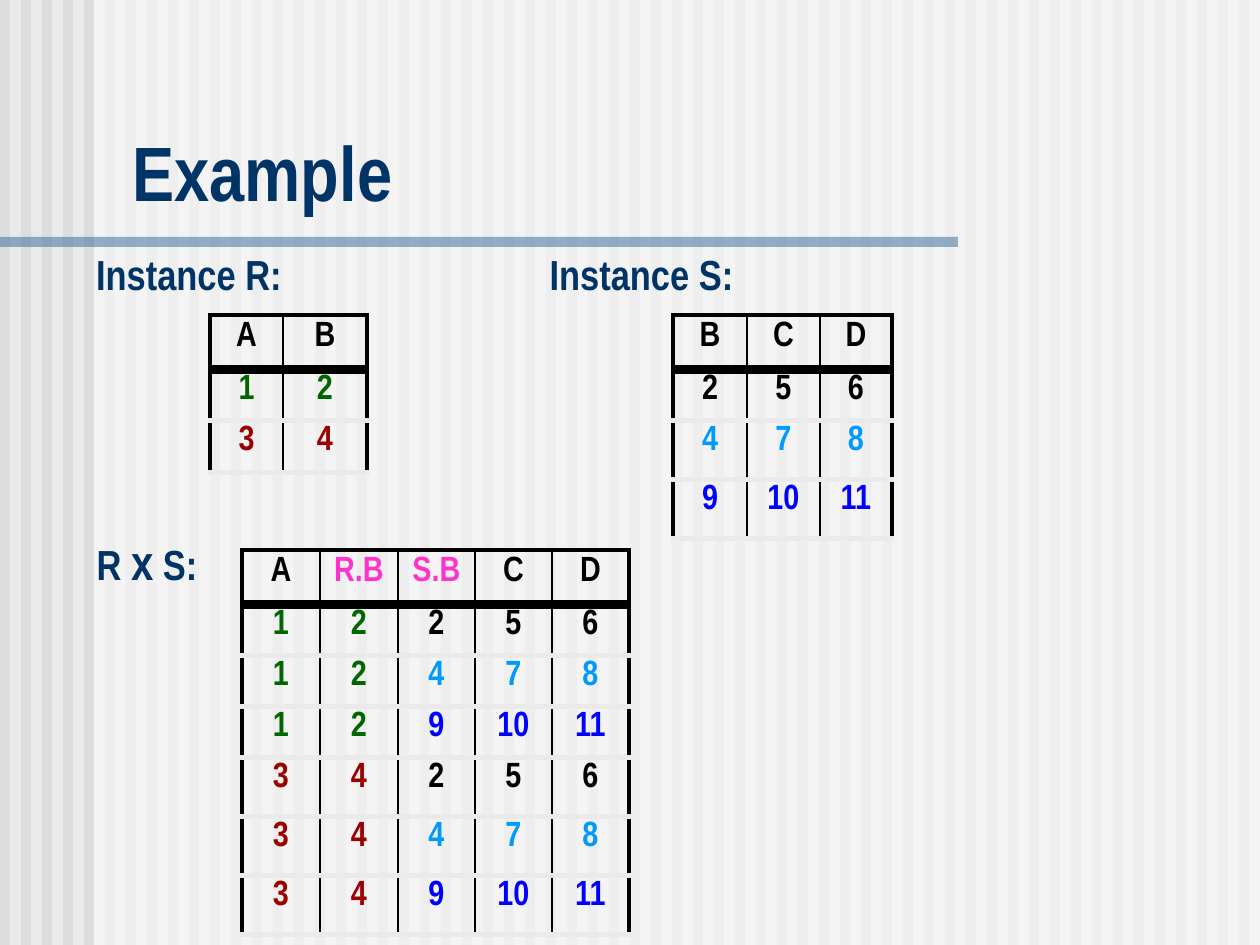
from itertools import product

from lxml.etree import SubElement
from pptx import Presentation
from pptx.dml.color import RGBColor
from pptx.enum.shapes import MSO_SHAPE
from pptx.enum.text import MSO_ANCHOR, MSO_AUTO_SIZE, PP_ALIGN
from pptx.oxml.ns import qn
from pptx.util import Pt

PX = 914400 / 126
WIDE, HIGH = 1260, 945
FONT = "Arial Narrow"
NAVY = RGBColor(0x00, 0x33, 0x66)
STEEL = RGBColor(0x33, 0x66, 0x99)
PALE = RGBColor(0xEA, 0xEA, 0xEA)
GRAY = RGBColor(0xDD, 0xDD, 0xDD)
WHITE = RGBColor(0xFF, 0xFF, 0xFF)
BLACK = RGBColor(0x00, 0x00, 0x00)
GREEN = RGBColor(0x00, 0x66, 0x00)
RED = RGBColor(0x9A, 0x00, 0x00)
SKY = RGBColor(0x00, 0x99, 0xFF)
BLUE = RGBColor(0x00, 0x00, 0xFF)
PINK = RGBColor(0xFF, 0x33, 0xCC)


def scale(*sizes):
    return [round(size * PX) for size in sizes]


def tint(words, color):
    return [(word, color) for word in words.split()]


def write(para, text, size, color):
    run = para.add_run()
    run.text = text
    run.font.name = FONT
    run.font.size = Pt(size)
    run.font.bold = True
    run.font.color.rgb = color


def block(shapes, box, color, alpha=None):
    shape = shapes.add_shape(MSO_SHAPE.RECTANGLE, *scale(*box))
    shape.shadow.inherit = False
    shape.fill.solid()
    shape.fill.fore_color.rgb = color
    shape.line.fill.background()
    if alpha:
        paint = shape._element.xpath("./p:spPr/a:solidFill/a:srgbClr")[0]
        SubElement(paint, qn("a:alpha"), val=str(alpha * 1000))


def backdrop(slide, box):
    left, top, width, height = box
    slide.background.fill.solid()
    slide.background.fill.fore_color.rgb = PALE
    group = slide.shapes.add_group_shape()
    for step in range(0, width, 21):
        block(group.shapes, (left + step, top, 10, height), GRAY)
    block(group.shapes, (left + 94, top, width - 94, height), WHITE, 50)
    block(group.shapes, (left, top + 237, 958, 10), STEEL, 50)


def heading(slide, box, text):
    title = slide.shapes.title
    title.left, title.top, title.width, title.height = scale(*box)
    slide.shapes._spTree.append(title._element)
    frame = title.text_frame
    frame.vertical_anchor = MSO_ANCHOR.BOTTOM
    frame.auto_size = MSO_AUTO_SIZE.NONE
    para = frame.paragraphs[0]
    para.alignment = PP_ALIGN.LEFT
    write(para, text, 44, NAVY)


def label(slide, box, runs):
    frame = slide.shapes.add_textbox(*scale(*box)).text_frame
    frame.word_wrap = False
    frame.auto_size = MSO_AUTO_SIZE.SHAPE_TO_FIT_TEXT
    para = frame.paragraphs[0]
    para.alignment = PP_ALIGN.CENTER
    for text, size in runs:
        write(para, text, size, NAVY)


def border(cell, side, color, width):
    line = SubElement(cell._tc.get_or_add_tcPr(), qn(f"a:ln{side}"), w=str(Pt(width)))
    fill = SubElement(line, qn("a:solidFill"))
    SubElement(fill, qn("a:srgbClr"), val=str(color))


def fill_cell(cell, text, color, row, first, last):
    para = cell.text_frame.paragraphs[0]
    para.alignment = PP_ALIGN.CENTER
    if row:
        para.line_spacing = 0.9
    space = SubElement(para._p.get_or_add_pPr(), qn("a:spcBef"))
    SubElement(space, qn("a:spcPct"), val="20000")
    write(para, text, 20, color)
    rules = [(BLACK, 2.25), (BLACK, 6), (PALE, 3)]
    border(cell, "L", BLACK, 2.25 if first else 1)
    border(cell, "R", BLACK, 2.25 if last else 1)
    border(cell, "T", *rules[min(row, 2)])
    border(cell, "B", *rules[min(row + 1, 2)])
    cell.fill.background()


def grid(slide, spot, widths, heights, rows):
    box = scale(*spot, sum(widths), sum(heights))
    table = slide.shapes.add_table(len(rows), len(widths), *box).table
    table.first_row = table.horz_banding = False
    for col, width in zip(table.columns, scale(*widths)):
        col.width = width
    for row, height in zip(table.rows, scale(*heights)):
        row.height = height
    for r, items in enumerate(rows):
        for c, (text, color) in enumerate(items):
            fill_cell(table.cell(r, c), text, color, r, c == 0, c == len(items) - 1)


def main():
    deck = Presentation()
    deck.slide_width, deck.slide_height = scale(WIDE, HIGH)
    slide = deck.slides.add_slide(deck.slide_layouts[5])

    backdrop(slide, (0, 0, WIDE, HIGH))
    heading(slide, (120, 118, 1125, 105), "Example")
    label(slide, (537, 242, 209, 63), [("Instance S:", 24)])
    label(slide, (83, 242, 212, 63), [("Instance R:", 24)])
    label(slide, (84, 525, 126, 72), [("R ", 24), ("x", 28), (" S:", 24)])

    left = [tint("1 2", GREEN), tint("3 4", RED)]
    right = [tint("2 5 6", BLACK), tint("4 7 8", SKY), tint("9 10 11", BLUE)]
    cross = [a + b for a, b in product(left, right)]
    head = tint("A", BLACK) + tint("R.B S.B", PINK) + tint("C D", BLACK)
    grid(slide, (673, 315), [74, 73, 72], [54, 51, 59, 59], [tint("B C D", BLACK)] + right)
    grid(slide, (210, 315), [73, 84], [54, 51, 52], [tint("A B", BLACK)] + left)
    grid(slide, (242, 550), [78, 78, 77, 77, 77], [54] + [51] * 3 + [59] * 3, [head] + cross)

    deck.save("out.pptx")


if __name__ == "__main__":
    main()
